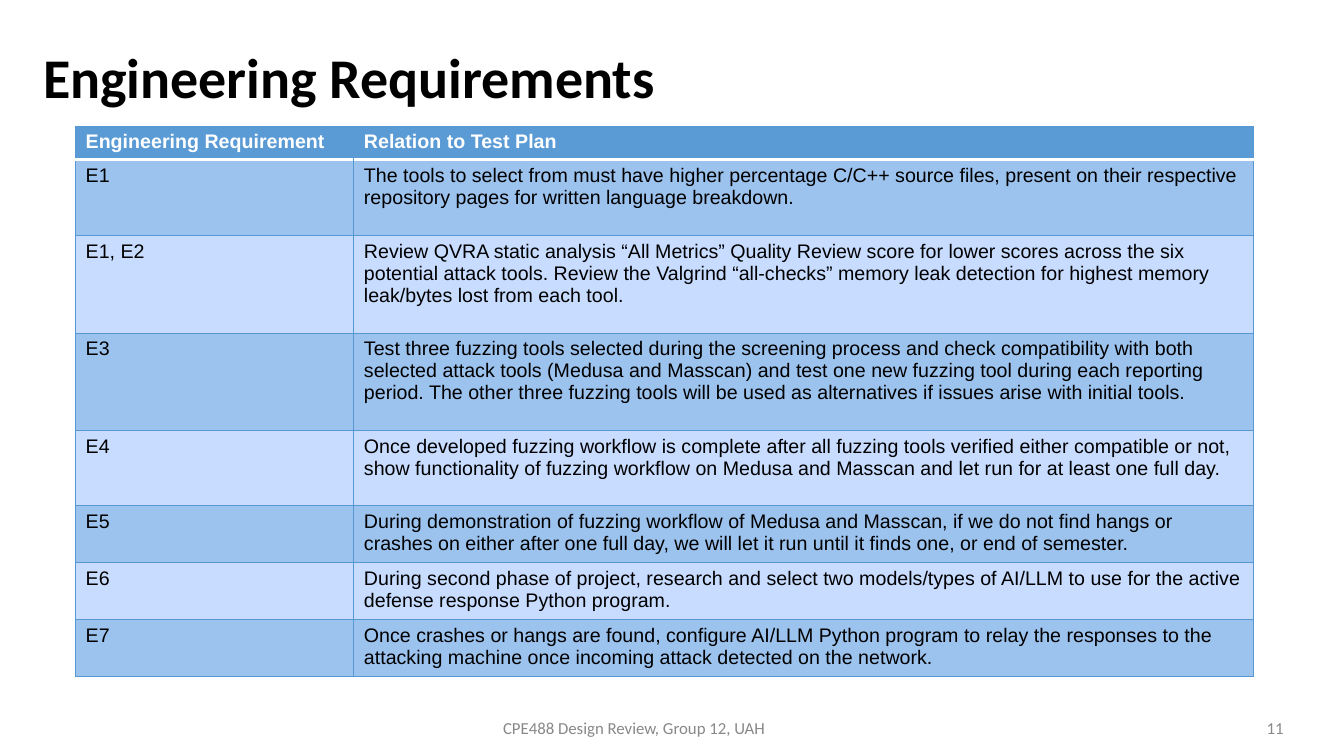
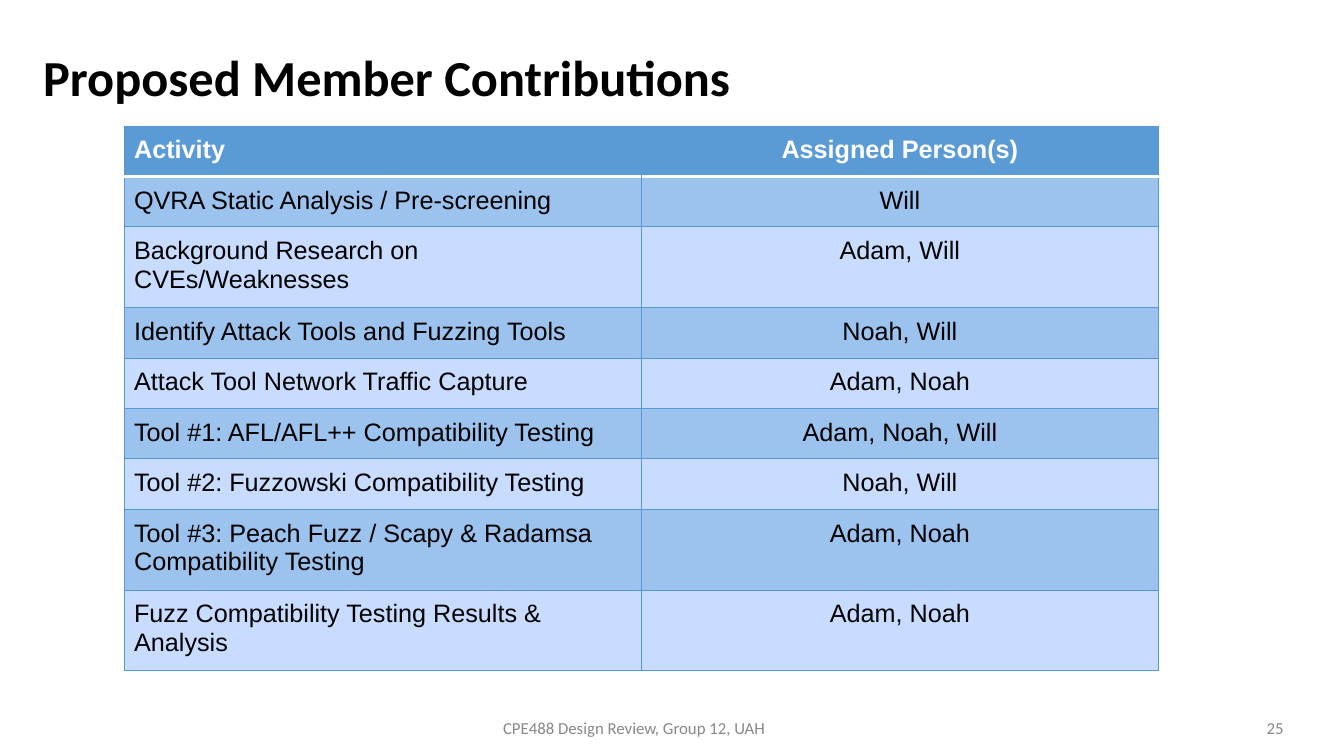
from lxml import etree
from pptx import Presentation
from pptx.dml.color import RGBColor
from pptx.enum.text import MSO_ANCHOR, PP_ALIGN
from pptx.oxml.ns import qn
from pptx.util import Inches, Pt

LEFT, CENTER, RIGHT = PP_ALIGN.LEFT, PP_ALIGN.CENTER, PP_ALIGN.RIGHT
MIDDLE = MSO_ANCHOR.MIDDLE

BLACK = RGBColor(0x00, 0x00, 0x00)
WHITE = RGBColor(0xFF, 0xFF, 0xFF)
GREY = RGBColor(0x88, 0x88, 0x88)
HEADER_BLUE = RGBColor(0x5B, 0x9B, 0xD5)
BAND_DARK = RGBColor(0x9C, 0xC2, 0xEE)
BAND_LIGHT = RGBColor(0xC7, 0xDC, 0xFF)
GRID_BLUE = RGBColor(0x56, 0x98, 0xD3)

HEADING_FONT, TABLE_FONT = "Calibri", "Arial"
FOOTER = "CPE488 Design Review, Group 12, UAH"

# Boxes: left, top, width, height in inches
TITLE_BOX = (0.33, 0.34, 12.5, 0.91)
FOOTER_BOX = (0.33, 7.08, 11.92, 0.28)
NUMBER_BOX = (12.33, 7.08, 0.5, 0.28)

REQUIREMENTS = [
    ("Engineering Requirement", "Relation to Test Plan"),
    ("E1", "The tools to select from must have higher percentage C/C++ source files, "
           "present on their respective repository pages for written language breakdown."),
    ("E1, E2", "Review QVRA static analysis “All Metrics” Quality Review score for lower "
               "scores across the six potential attack tools. Review the Valgrind "
               "“all-checks” memory leak detection for highest memory leak/bytes lost "
               "from each tool."),
    ("E3", "Test three fuzzing tools selected during the screening process and check "
           "compatibility with both selected attack tools (Medusa and Masscan) and test "
           "one new fuzzing tool during each reporting period. The other three fuzzing "
           "tools will be used as alternatives if issues arise with initial tools."),
    ("E4", "Once developed fuzzing workflow is complete after all fuzzing tools verified "
           "either compatible or not, show functionality of fuzzing workflow on Medusa "
           "and Masscan and let run for at least one full day."),
    ("E5", "During demonstration of fuzzing workflow of Medusa and Masscan, if we do not "
           "find hangs or crashes on either after one full day, we will let it run until "
           "it finds one, or end of semester."),
    ("E6", "During second phase of project, research and select two models/types of "
           "AI/LLM to use for the active defense response Python program."),
    ("E7", "Once crashes or hangs are found, configure AI/LLM Python program to relay the "
           "responses to the attacking machine once incoming attack detected on the "
           "network."),
]
REQUIREMENT_HEIGHTS = [0.3, 0.75, 0.97, 0.97, 0.74, 0.54, 0.54, 0.54]

CONTRIBUTIONS = [
    ("Activity", "Assigned Person(s)"),
    ("QVRA Static Analysis / Pre-screening", "Will"),
    ("Background Research on CVEs/Weaknesses", "Adam, Will"),
    ("Identify Attack Tools and Fuzzing Tools", "Noah, Will"),
    ("Attack Tool Network Traffic Capture", "Adam, Noah"),
    ("Tool #1: AFL/AFL++ Compatibility Testing", "Adam, Noah, Will"),
    ("Tool #2: Fuzzowski Compatibility Testing", "Noah, Will"),
    ("Tool #3: Peach Fuzz / Scapy & Radamsa Compatibility Testing", "Adam, Noah"),
    ("Fuzz Compatibility Testing Results & Analysis", "Adam, Noah"),
]
CONTRIBUTION_HEIGHTS = [0.48, 0.48, 0.76, 0.48, 0.48, 0.48, 0.48, 0.76, 0.76]


def style(paragraph, font, size, color, bold=False, align=LEFT):
    paragraph.alignment = align
    paragraph.font.name = font
    paragraph.font.size = Pt(size)
    paragraph.font.bold = bold
    paragraph.font.color.rgb = color


def add_label(slide, box, text, size, color, bold=False, align=LEFT):
    frame = slide.shapes.add_textbox(*map(Inches, box)).text_frame
    frame.word_wrap = True
    frame.vertical_anchor = MIDDLE
    frame.text = text
    style(frame.paragraphs[0], HEADING_FONT, size, color, bold, align)
    return frame.paragraphs[0]


def add_frame(slide, title, title_size, number):
    """Title, footer and slide number."""
    heading = add_label(slide, TITLE_BOX, title, title_size, BLACK, bold=True)
    heading.line_spacing = 0.9
    add_label(slide, FOOTER_BOX, FOOTER, 12, GREY, align=CENTER)
    add_label(slide, NUMBER_BOX, str(number), 12, GREY, align=RIGHT)


def set_border(cell, side, color, width=0.75):
    """Draw one cell edge; a color of None hides it."""
    line = etree.SubElement(cell._tc.get_or_add_tcPr(), qn(f"a:ln{side}"), w=str(Pt(width)))
    if color is None:
        etree.SubElement(line, qn("a:noFill"))
    else:
        fill = etree.SubElement(line, qn("a:solidFill"))
        etree.SubElement(fill, qn("a:srgbClr"), val=str(color))


def set_borders(cell, row, column, last_column):
    header = row == 0
    set_border(cell, "L", None if header and column > 0 else GRID_BLUE)
    set_border(cell, "R", None if header and column < last_column else GRID_BLUE)
    if row == 1:
        set_border(cell, "T", WHITE, 2)
    else:
        set_border(cell, "T", GRID_BLUE)
    if header:
        set_border(cell, "B", WHITE, 2)
    else:
        set_border(cell, "B", GRID_BLUE)


def add_banded_table(slide, left, top, widths, heights, rows, size, aligns, padding):
    table = slide.shapes.add_table(
        len(rows), len(widths), Inches(left), Inches(top),
        Inches(sum(widths)), Inches(sum(heights))).table
    for column, width in zip(table.columns, widths):
        column.width = Inches(width)
    for r, (height, texts) in enumerate(zip(heights, rows)):
        table.rows[r].height = Inches(height)
        header = r == 0
        band = HEADER_BLUE if header else BAND_DARK if r % 2 else BAND_LIGHT
        for c, text in enumerate(texts):
            cell = table.cell(r, c)
            cell.margin_top = cell.margin_bottom = Inches(padding)
            set_borders(cell, r, c, len(widths) - 1)
            cell.fill.solid()
            cell.fill.fore_color.rgb = band
            cell.text = text
            style(cell.text_frame.paragraphs[0], TABLE_FONT, size,
                  WHITE if header else BLACK, header, aligns[c])


def build_requirements(slide):
    add_frame(slide, "Engineering Requirements", 40, 11)
    add_banded_table(slide, 0.75, 1.25, [2.76, 8.92], REQUIREMENT_HEIGHTS,
                     REQUIREMENTS, 14, [LEFT, LEFT], 0.05)


def build_contributions(slide):
    add_frame(slide, "Proposed Member Contributions", 36, 25)
    add_banded_table(slide, 1.23, 1.25, [5.13, 5.13], CONTRIBUTION_HEIGHTS,
                     CONTRIBUTIONS, 18, [LEFT, CENTER], 0.1)


def main():
    deck = Presentation()
    deck.slide_width, deck.slide_height = Inches(13.33), Inches(7.5)
    blank = deck.slide_layouts[6]
    for build in (build_requirements, build_contributions):
        build(deck.slides.add_slide(blank))
    deck.save("out.pptx")


if __name__ == "__main__":
    main()
